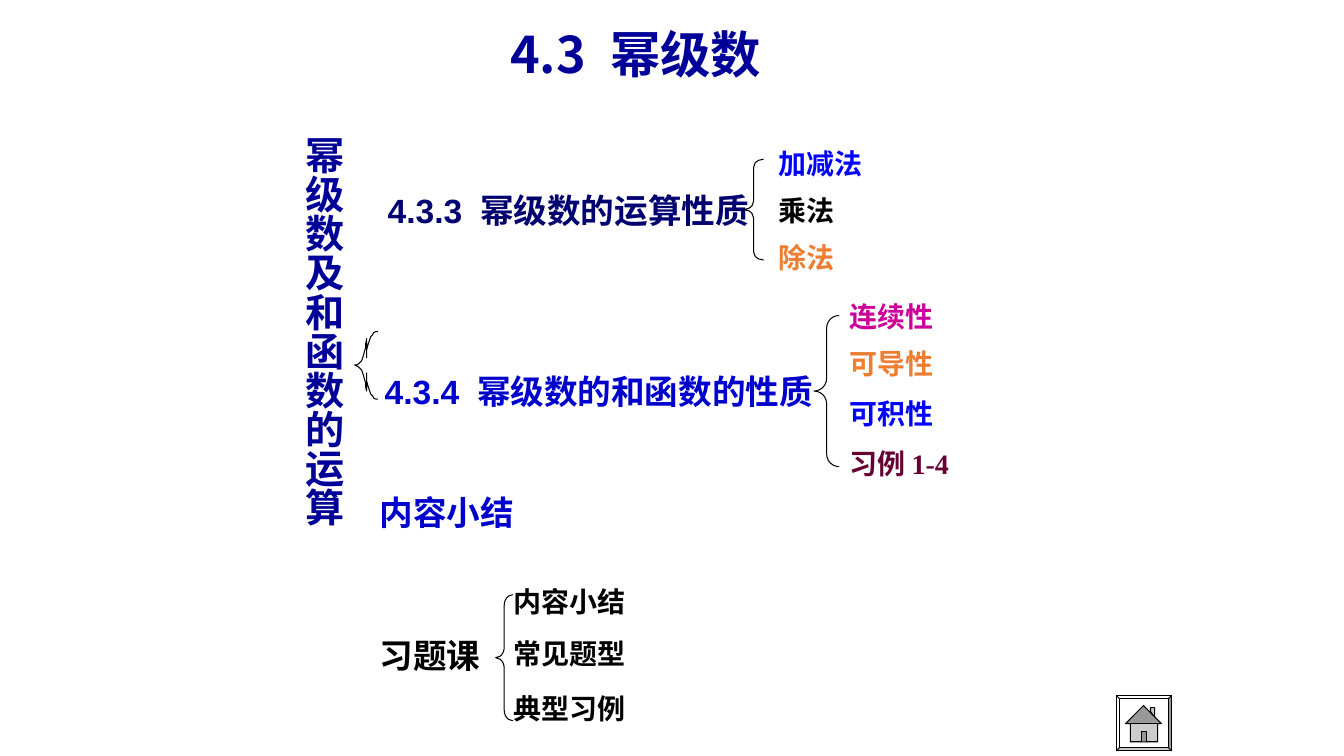
from math import cos, pi, sin

from lxml import etree
from pptx import Presentation
from pptx.dml.color import RGBColor
from pptx.enum.shapes import MSO_SHAPE
from pptx.enum.text import MSO_ANCHOR, MSO_AUTO_SIZE, PP_ALIGN
from pptx.oxml.ns import qn
from pptx.util import Pt

PX = 9144  # 100 px to the inch
SLIDE_W, SLIDE_H = 1334, 750
TOP, MIDDLE = MSO_ANCHOR.TOP, MSO_ANCHOR.MIDDLE
LEFT, CENTER = PP_ALIGN.LEFT, PP_ALIGN.CENTER
GROW = MSO_AUTO_SIZE.SHAPE_TO_FIT_TEXT
LEFT_BRACE, BEVEL = MSO_SHAPE.LEFT_BRACE, MSO_SHAPE.BEVEL

SANS, SERIF, CJK = "Arial", "Times New Roman", "Noto Sans CJK SC"
NAVY = RGBColor(0x00, 0x00, 0x99)
DARK_NAVY = RGBColor(0x01, 0x01, 0x6F)
ROYAL = RGBColor(0x00, 0x00, 0xCC)
BLUE = RGBColor(0x00, 0x00, 0xFF)
ORANGE = RGBColor(0xED, 0x7D, 0x31)
MAGENTA = RGBColor(0xCC, 0x00, 0x99)
MAROON = RGBColor(0x66, 0x00, 0x33)
BLACK = RGBColor(0x00, 0x00, 0x00)
WHITE = RGBColor(0xFF, 0xFF, 0xFF)
ROOF_GRAY = RGBColor(0x99, 0x99, 0x99)
WALL_GRAY = RGBColor(0xCC, 0xCC, 0xCC)

# Numbered headings: number, name, font, size, colour, box, alignment
NUMBERED = [
    ("4.3", "幂级数", CJK, 36, NAVY, (304, 14, 654, 77), CENTER),
    ("4.3.3", "幂级数的运算性质", SANS, 24, DARK_NAVY, (375, 183, 392, 50), LEFT),
    ("4.3.4", "幂级数的和函数的性质", SANS, 24, ROYAL, (372, 363, 470, 50), LEFT),
]
# Plain headings: name, colour, box
HEADINGS = [
    ("内容小结", ROYAL, (367, 483, 183, 50)),
    ("习题课", BLACK, (367, 625, 150, 50)),
]
COURSE = "幂级数及和函数的运算"
COURSE_BOX = (284, 125, 66, 475)

# Branches: brace box, left of topics, topics as (runs, colour, top, anchor)
TOPIC_W, TOPIC_H = 192, 44
BRANCHES = [
    ((738, 158, 20, 100), 763, [
        ([("加减法", SANS)], BLUE, 140, MIDDLE),
        ([("乘法", SANS)], BLACK, 187, MIDDLE),
        ([("除法", SANS)], ORANGE, 233, MIDDLE),
    ]),
    ((808, 313, 25, 150), 833, [
        ([("连续性", SANS)], MAGENTA, 292, MIDDLE),
        ([("可导性", SANS)], ORANGE, 338, MIDDLE),
        ([("可积性", SANS)], BLUE, 388, MIDDLE),
        ([("习例", SANS), (" 1-4", SERIF)], MAROON, 438, TOP),
    ]),
    ((492, 590, 17, 125), 500, [
        ([("内容小结", SERIF)], BLACK, 575, TOP),
        ([("常见题型", SANS)], BLACK, 626, MIDDLE),
        ([("典型习例", SANS)], BLACK, 681, MIDDLE),
    ]),
]
COURSE_BRACE = (352, 329, 23, 67)
COURSE_CURL = 26  # taller than a quarter of the brace, so its arms overlap

HOME_BOX = (1108, 690, 55, 55)
HOME_PARTS = [
    (ROOF_GRAY, [(1135, 700), (1153, 718), (1149, 718), (1149, 736),
                 (1122, 736), (1122, 718), (1117, 718)]),
    (WALL_GRAY, [(1142, 706), (1142, 702), (1146, 702), (1146, 711)]),
    (WALL_GRAY, [(1133, 726), (1138, 726), (1138, 736), (1149, 736),
                 (1149, 718), (1122, 718), (1122, 736), (1133, 736)]),
]

prs = Presentation()
prs.slide_width, prs.slide_height = SLIDE_W * PX, SLIDE_H * PX
slide = prs.slides.add_slide(prs.slide_layouts[6])
shapes = slide.shapes


def scaled(box):
    return [length * PX for length in box]


def add_text(box, runs, size, color, anchor=MIDDLE, align=LEFT):
    frame = shapes.add_textbox(*scaled(box)).text_frame
    frame.word_wrap = True
    frame.auto_size = GROW
    frame.vertical_anchor = anchor
    paragraph = frame.paragraphs[0]
    paragraph.alignment = align
    for words, face in runs:
        run = paragraph.add_run()
        run.text = words
        run.font.name, run.font.size, run.font.bold = face, Pt(size), True
        run.font.color.rgb = color
        props = run.font._element
        etree.SubElement(props, qn("a:ea")).set("typeface", CJK)
        if words == " ":  # widen the gap after a section number
            props.set("spc", str(size * 25))
    return frame


def style(shape, fill=None):
    shape.shadow.inherit = False
    if fill is None:
        shape.fill.background()
    else:
        shape.fill.solid()
        shape.fill.fore_color.rgb = fill
    shape.line.color.rgb = BLACK
    shape.line.width = Pt(0.75)


def add_outline(points, fill=None, close=True):
    builder = shapes.build_freeform(*points[0], scale=PX)
    builder.add_line_segments(points[1:], close=close)
    style(builder.convert_to_shape(), fill)


def overlapping_brace(box, curl, steps=10):
    left, top, width, height = box
    arm, middle = width / 2, top + height / 2
    angles = [pi / 2 * i / steps for i in range(steps + 1)]
    upper = [(left + width - arm * sin(a), top + curl * (1 - cos(a))) for a in angles]
    upper += [(left + arm * cos(a), middle - curl * (1 - sin(a))) for a in angles]
    lower = [(x, 2 * middle - y) for x, y in reversed(upper[:-1])]
    return upper + lower


# Headings
for number, name, face, size, color, box, align in NUMBERED:
    add_text(box, [(number, face), (" ", face), (name, face)], size, color, align=align)
for name, color, box in HEADINGS:
    add_text(box, [(name, SERIF)], 24, color, TOP)

# Vertical course name and its brace
course = add_text(COURSE_BOX, [(COURSE, SANS)], 28, NAVY, TOP, CENTER)
course.margin_left = course.margin_right = 5 * PX
course.margin_top = course.margin_bottom = 10 * PX
course._txBody.bodyPr.set("vert", "eaVert")
add_outline(overlapping_brace(COURSE_BRACE, COURSE_CURL), close=False)

# Braces with their topics
for brace_box, topic_left, topics in BRANCHES:
    brace = shapes.add_shape(LEFT_BRACE, *scaled(brace_box))
    brace.adjustments[0] = brace_box[3] / 12 / brace_box[2]
    style(brace)
    for runs, color, top, anchor in topics:
        add_text((topic_left, top, TOPIC_W, TOPIC_H), runs, 20, color, anchor)

# Home button
button = shapes.add_shape(BEVEL, *scaled(HOME_BOX))
button.adjustments[0] = 0.06
style(button, WHITE)
for fill, points in HOME_PARTS:
    add_outline(points, fill)

prs.save("out.pptx")
